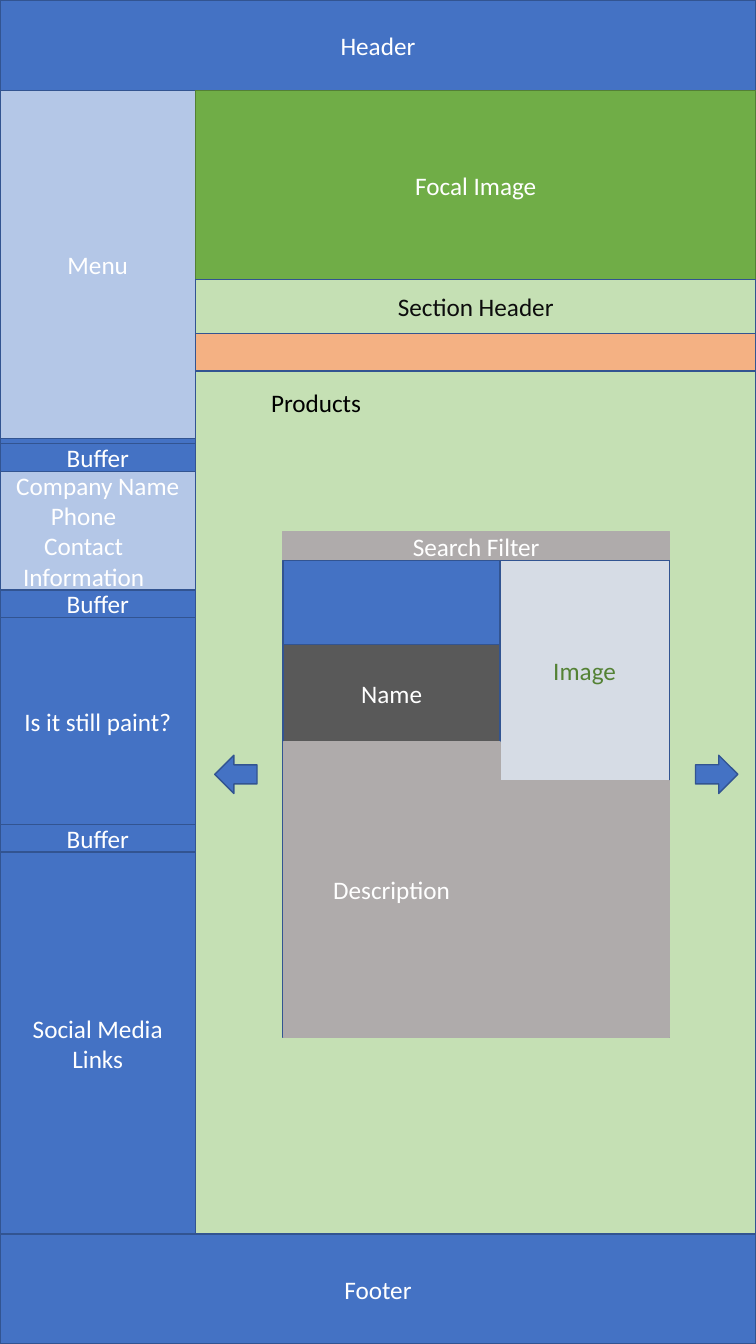
from pptx import Presentation
from pptx.dml.color import RGBColor
from pptx.enum.shapes import MSO_SHAPE
from pptx.enum.text import MSO_ANCHOR, PP_ALIGN
from pptx.util import Inches, Pt

RECTANGLE, ARROW = MSO_SHAPE.RECTANGLE, MSO_SHAPE.RIGHT_ARROW
MIDDLE, TOP = MSO_ANCHOR.MIDDLE, MSO_ANCHOR.TOP
CENTER, LEFT = PP_ALIGN.CENTER, PP_ALIGN.LEFT

COLORS = {
    "blue": "4472C4", "pale_blue": "B4C7E7", "outline": "325491",
    "green": "70AD47", "dark_green": "538035", "pale_green": "C5E0B4",
    "orange": "F4B183", "gray": "AFABAB", "charcoal": "595959",
    "mist": "D6DCE5", "leaf": "548235", "ink": "0D0D0D",
    "black": "000000", "white": "FFFFFF",
}
GRID = 0.1
COLUMNS, ROWS = 75, 133.3
HEADER_ROWS, FOOTER_ROW = 9, 122.4
SIDEBAR_COLUMNS = 19.4
BUFFER = ("Buffer", 2.75, "blue")
CONTACT = ["Company Name", "Phone", "Contact Information"]


def grid(cells):
    return Inches(cells * GRID)


def color(name):
    return RGBColor.from_string(COLORS[name])


def write(frame, text, ink="white", align=CENTER, anchor=MIDDLE, size=18, font="Calibri"):
    """Fill a text frame with one paragraph per line of text."""
    frame.word_wrap = True
    frame.vertical_anchor = anchor
    lines = [text] if isinstance(text, str) else text
    for number, line in enumerate(lines):
        para = frame.add_paragraph() if number else frame.paragraphs[0]
        para.alignment = align
        span = para.add_run()
        span.text = line
        span.font.name, span.font.size = font, Pt(size)
        span.font.color.rgb = color(ink)


class Wireframe:
    """Draws page regions on a grid with one shared style."""

    def __init__(self, page):
        self.page = page
        self.target = page.shapes

    def box(self, column, row, width, height, text=None, fill="blue",
            line="outline", ink="white", kind=RECTANGLE):
        box = self.target.add_shape(kind, grid(column), grid(row), grid(width), grid(height))
        box.shadow.inherit = False
        box.fill.solid()
        box.fill.fore_color.rgb = color(fill)
        box.line.color.rgb = color(line)
        box.line.width = Pt(1)
        if text:
            write(box.text_frame, text, ink=ink)
        return box

    def stack(self, column, row, width, regions):
        boxes = []
        for text, height, fill, *style in regions:
            options = style[0] if style else {}
            boxes.append(self.box(column, row, width, height, text, fill, **options))
            row += height
        return boxes

    def label(self, column, row, width, height, text, **style):
        label = self.target.add_textbox(grid(column), grid(row), grid(width), grid(height))
        write(label.text_frame, text, **style)

    def arrow(self, column, rotation=0):
        self.box(column, 74.9, 4.2, 3.8, kind=ARROW).rotation = rotation

    def group(self):
        self.target = self.page.shapes.add_group_shape().shapes

    def ungroup(self):
        self.target = self.page.shapes


def draw_sidebar(frame):
    frame.box(0, HEADER_ROWS, SIDEBAR_COLUMNS, FOOTER_ROW - HEADER_ROWS)
    frame.box(0, HEADER_ROWS, SIDEBAR_COLUMNS, 34.5, "Menu", "pale_blue")
    boxes = frame.stack(0, 44, SIDEBAR_COLUMNS, [
        BUFFER, (CONTACT, 11.75, "pale_blue"),
        BUFFER, ("Is it still paint?", 20.5, "blue"),
        BUFFER, ("Social Media Links", 37.9, "blue"),
    ])
    phone = boxes[1].text_frame.paragraphs[1]
    phone._p.get_or_add_pPr().set("marR", str(grid(2.8)))


def draw_content(frame):
    width = COLUMNS - SIDEBAR_COLUMNS
    frame.box(SIDEBAR_COLUMNS, HEADER_ROWS, width, FOOTER_ROW - HEADER_ROWS, fill="orange")
    frame.stack(SIDEBAR_COLUMNS, HEADER_ROWS, width, [
        ("Focal Image", 18.7, "green", {"line": "dark_green"}),
        ("Section Header", 5.4, "pale_green", {"ink": "ink"}),
    ])
    frame.box(SIDEBAR_COLUMNS, 36.8, width, FOOTER_ROW - 36.8, fill="pale_green")
    frame.label(25.9, 37.9, 42.8, 4, "Products", ink="black", align=LEFT, anchor=TOP)


def draw_product_card(frame):
    left, top, width = 28.1, 55.6, 38.3
    name_width, image_width = 21.5, 16.8
    plain = {"line": "gray"}
    frame.group()
    frame.box(left, top - 2.9, width, 2.9, "Search Filter", "gray", **plain)
    frame.box(left, top, width, 47.3)
    frame.box(left + name_width, top, image_width, 21.8, "Image", "mist", ink="leaf")
    frame.stack(left, 63.9, name_width, [
        ("Name", 9.7, "charcoal"), ("Description", 29.3, "gray", plain),
    ])
    frame.box(left + name_width, top + 21.8, image_width, 25.5, fill="gray", **plain)
    frame.ungroup()


def main():
    deck = Presentation()
    deck.slide_width, deck.slide_height = grid(COLUMNS), grid(ROWS)
    frame = Wireframe(deck.slides.add_slide(deck.slide_layouts[6]))
    frame.box(0, 0, COLUMNS, HEADER_ROWS, "Header")
    draw_sidebar(frame)
    frame.box(0, FOOTER_ROW, COLUMNS, ROWS - FOOTER_ROW, "Footer")
    draw_content(frame)
    draw_product_card(frame)
    frame.arrow(69)
    frame.arrow(21.3, rotation=180)
    deck.save("out.pptx")


main()
